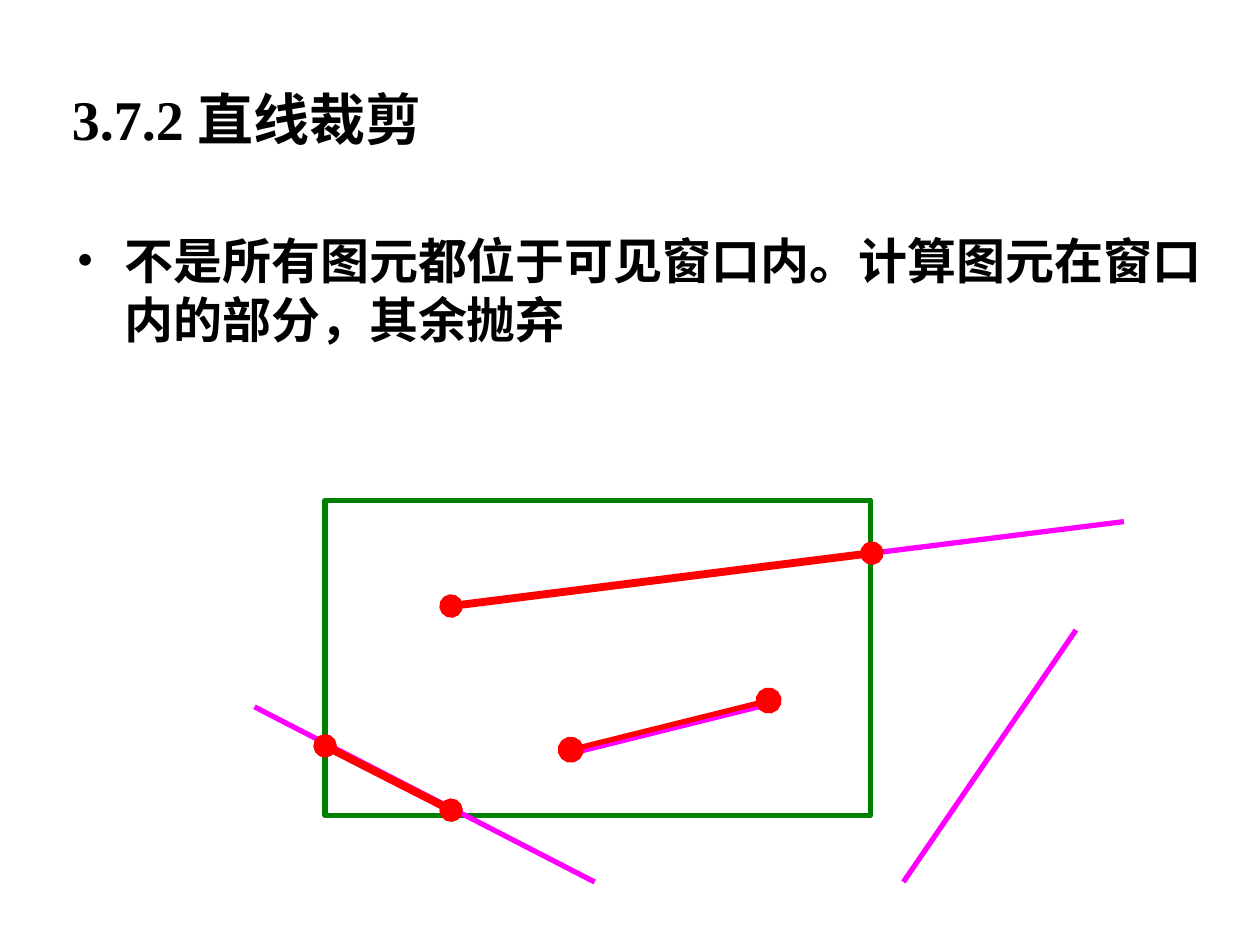
import pptx
import pptx.util
import pptx.dml.color
import pptx.enum.shapes
import pptx.enum.text
import pptx.oxml.ns
import lxml.etree

COLUMNS, ROWS = 100, 75
LATIN, CHINESE = "Times New Roman", "Noto Sans CJK SC"
BLACK, GREEN, MAGENTA, RED = "000000", "008000", "FF00FF", "FF0000"


def colour(code):
    return pptx.dml.color.RGBColor.from_string(code)


def child(parent, tag, **attributes):
    return lxml.etree.SubElement(parent, pptx.oxml.ns.qn(tag), attributes)


def write(paragraph, text, size=28, font=CHINESE, code=BLACK, bold=True):
    run = paragraph.add_run()
    run.text = text
    run.font.size = pptx.util.Pt(size)
    run.font.name = font
    run.font.bold = bold
    run.font.color.rgb = colour(code)
    child(run.font._element, "a:ea", typeface=CHINESE)


class Deck:
    def __init__(self):
        self.show = pptx.Presentation()
        self.show.slide_width = pptx.util.Inches(10)
        self.show.slide_height = pptx.util.Inches(7.5)
        self.slide = self.show.slides.add_slide(self.show.slide_layouts[5])
        self.diagram = None

    def place(self, column, row):
        return (round(self.show.slide_width * column / COLUMNS),
                round(self.show.slide_height * row / ROWS))

    def title(self, text, column, row, columns, rows):
        heading = self.slide.shapes.title
        heading.left, heading.top = self.place(column, row)
        heading.width, heading.height = self.place(columns, rows)
        frame = heading.text_frame
        frame.vertical_anchor = pptx.enum.text.MSO_ANCHOR.MIDDLE
        frame.paragraphs[0].alignment = pptx.enum.text.PP_ALIGN.LEFT
        write(frame.paragraphs[0], text, size=32, font=LATIN)

    def bullet(self, text, column, row, columns, rows):
        body = self.slide.shapes.add_textbox(
            *self.place(column, row), *self.place(columns, rows))
        body.text_frame.word_wrap = True
        paragraph = body.text_frame.paragraphs[0]
        paragraph.space_before = pptx.util.Pt(5.6)
        write(paragraph, text)
        properties = paragraph._p.get_or_add_pPr()
        indent = pptx.util.Inches(0.38)
        properties.set("marL", str(indent))
        properties.set("indent", str(-indent))
        child(properties, "a:buFont", typeface=LATIN)
        child(properties, "a:buChar", char="•")

    def start_diagram(self):
        self.diagram = self.slide.shapes.add_group_shape()

    def window(self, column, row, columns, rows):
        window = self.diagram.shapes.add_shape(
            pptx.enum.shapes.MSO_SHAPE.RECTANGLE,
            *self.place(column, row), *self.place(columns, rows))
        window.shadow.inherit = False
        window.fill.background()
        window.line.color.rgb = colour(GREEN)
        window.line.width = pptx.util.Pt(3)

    def segment(self, shapes, start, end, code, width=3, dots=None):
        segment = shapes.add_connector(
            pptx.enum.shapes.MSO_CONNECTOR.STRAIGHT,
            *self.place(*start), *self.place(*end))
        segment.line.color.rgb = colour(code)
        segment.line.width = pptx.util.Pt(width)
        if dots:
            outline = segment.line._get_or_add_ln()
            for tag in ("a:headEnd", "a:tailEnd"):
                child(outline, tag, type="oval", w=dots, len=dots)
        child(segment._element.spPr, "a:effectLst")

    def original_segment(self, start, end):
        self.segment(self.diagram.shapes, start, end, MAGENTA)

    def visible_segment(self, start, end, width, dots):
        self.segment(self.slide.shapes, start, end, RED, width, dots)


def main():
    deck = Deck()
    deck.title("3.7.2 直线裁剪", 4.7, 3.1, 90, 12.5)
    deck.bullet("不是所有图元都位于可见窗口内。计算图元在窗口内的部分，其余抛弃",
                5.1, 17.8, 92.2, 53.6)
    deck.start_diagram()
    deck.window(25.8, 39.7, 43.3, 25)
    for start, end in (
        ((35.8, 48.1), (89.2, 41.4)),
        ((20.2, 56.1), (47.2, 70)),
        ((71.7, 70), (85.4, 50)),
        ((44.5, 60), (60.2, 56.1)),
    ):
        deck.original_segment(start, end)
    for start, end, width, dots in (
        ((35.8, 48.1), (69.2, 43.9), 4.5, "med"),
        ((25.8, 59.2), (35.8, 64.3), 4.5, "med"),
        ((45.3, 59.5), (61, 55.6), 3, "lg"),
    ):
        deck.visible_segment(start, end, width, dots)
    deck.show.save("out.pptx")


if __name__ == "__main__":
    main()
